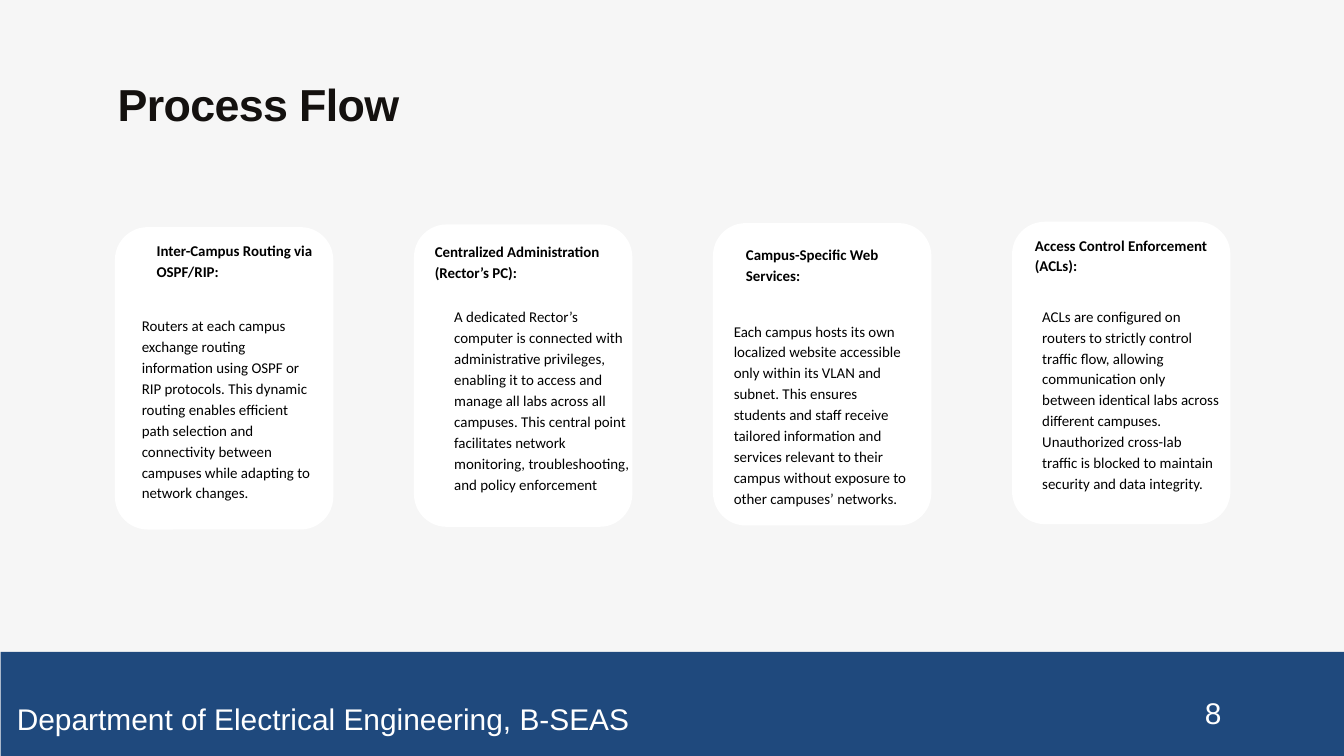
from pptx import Presentation
from pptx.dml.color import RGBColor
from pptx.enum.shapes import MSO_SHAPE
from pptx.enum.text import MSO_ANCHOR, MSO_AUTO_SIZE, PP_ALIGN
from pptx.util import Inches, Pt

TITLE = "Process Flow"
DEPARTMENT = "Department of Electrical Engineering, B-SEAS"
PAGE_NUMBER = "8"

STEPS = [
    {"heading": "Inter-Campus Routing via OSPF/RIP:",
     "body": "Routers at each campus exchange routing information using OSPF or RIP protocols. "
             "This dynamic routing enables efficient path selection and connectivity between "
             "campuses while adapting to network changes.",
     "top": 3.38, "heading_offset": (0.62, 0.17), "body_offset": (0.40, 1.29)},
    {"heading": "Centralized Administration (Rector’s PC):",
     "body": "A dedicated Rector’s computer is connected with administrative privileges, "
             "enabling it to access and manage all labs across all campuses. This central "
             "point facilitates network monitoring, troubleshooting, and policy enforcement",
     "top": 3.34, "heading_offset": (0.31, 0.22), "body_offset": (0.60, 1.20)},
    {"heading": "Campus-Specific Web Services:",
     "body": "Each campus hosts its own localized website accessible only within its VLAN and "
             "subnet. This ensures students and staff receive tailored information and "
             "services relevant to their campus without exposure to other campuses’ networks.",
     "top": 3.32, "heading_offset": (0.49, 0.29), "body_offset": (0.31, 1.43)},
    {"heading": "Access Control Enforcement (ACLs):",
     "body": "ACLs are configured on routers to strictly control traffic flow, allowing "
             "communication only between identical labs across different campuses. "
             "Unauthorized cross-lab traffic is blocked to maintain security and data integrity.",
     "top": 3.30, "heading_offset": (0.34, 0.17), "body_offset": (0.45, 1.23)},
]

SLIDE_W, SLIDE_H = 20, 11.25
FIRST_CARD, CARD_PITCH = 1.71, 4.45
CARD_W, CARD_H, CORNER = 3.25, 4.5, 0.15
COPY_W, HEADING_H, BODY_H = 2.64, 0.6, 2.76
FOOTER_H = 1.55


def color(value):
    return RGBColor.from_string(value)


def add_panel(slide, kind, left, top, width, height, fill):
    panel = slide.shapes.add_shape(
        kind, Inches(left), Inches(top), Inches(width), Inches(height))
    panel.shadow.inherit = False
    panel.fill.solid()
    panel.fill.fore_color.rgb = color(fill)
    panel.line.fill.background()
    return panel


def write(holder, text, size, font, ink, bold=False, leading=None, inset=0):
    frame = holder.text_frame
    frame.text = text
    frame.word_wrap = True
    frame.auto_size = MSO_AUTO_SIZE.NONE
    frame.vertical_anchor = MSO_ANCHOR.TOP
    frame.margin_left = frame.margin_right = Inches(inset)
    frame.margin_top = frame.margin_bottom = Inches(inset / 2)
    paragraph = frame.paragraphs[0]
    paragraph.alignment = PP_ALIGN.LEFT
    if leading:
        paragraph.line_spacing = Pt(leading)
    run = paragraph.runs[0]
    run.font.size = Pt(size)
    run.font.name = font
    run.font.bold = bold
    run.font.color.rgb = color(ink)
    return run


def add_text(slide, left, top, width, height, text, *style, **options):
    box = slide.shapes.add_textbox(
        Inches(left), Inches(top), Inches(width), Inches(height))
    write(box, text, *style, **options)


def add_step(slide, column, step):
    left, top = FIRST_CARD + column * CARD_PITCH, step["top"]
    card = add_panel(slide, MSO_SHAPE.ROUNDED_RECTANGLE, left, top, CARD_W, CARD_H, "FFFFFF")
    card.adjustments[0] = CORNER
    for part, height in (("heading", HEADING_H), ("body", BODY_H)):
        dx, dy = step[part + "_offset"]
        add_text(slide, left + dx, top + dy, COPY_W, height, step[part],
                 16, "Calibri", "000000", bold=part == "heading", leading=22.4)


def main():
    deck = Presentation()
    deck.slide_width, deck.slide_height = Inches(SLIDE_W), Inches(SLIDE_H)
    slide = deck.slides.add_slide(deck.slide_layouts[5])
    slide.background.fill.solid()
    slide.background.fill.fore_color.rgb = color("F6F6F6")

    title = slide.shapes.title
    title.left, title.top = Inches(1.75), Inches(1.08)
    title.width, title.height = Inches(13.66), Inches(0.81)
    title_run = write(title, TITLE, 48, "Arial", "14110F", bold=True, leading=62.4)
    title_run.font._element.set("spc", "-70")

    for column, step in enumerate(STEPS):
        add_step(slide, column, step)

    add_panel(slide, MSO_SHAPE.RECTANGLE, 0.01, SLIDE_H - FOOTER_H,
              SLIDE_W - 0.01, FOOTER_H, "1F497D")
    add_text(slide, 17.83, 10.29, 1.92, 0.64, PAGE_NUMBER, 32, "Arial", "FFFFFF", inset=0.1)
    add_text(slide, 0.25, 10.42, 9.42, 0.53, DEPARTMENT, 32, "Arial", "FFFFFF", leading=38.4)

    deck.save("out.pptx")


if __name__ == "__main__":
    main()
